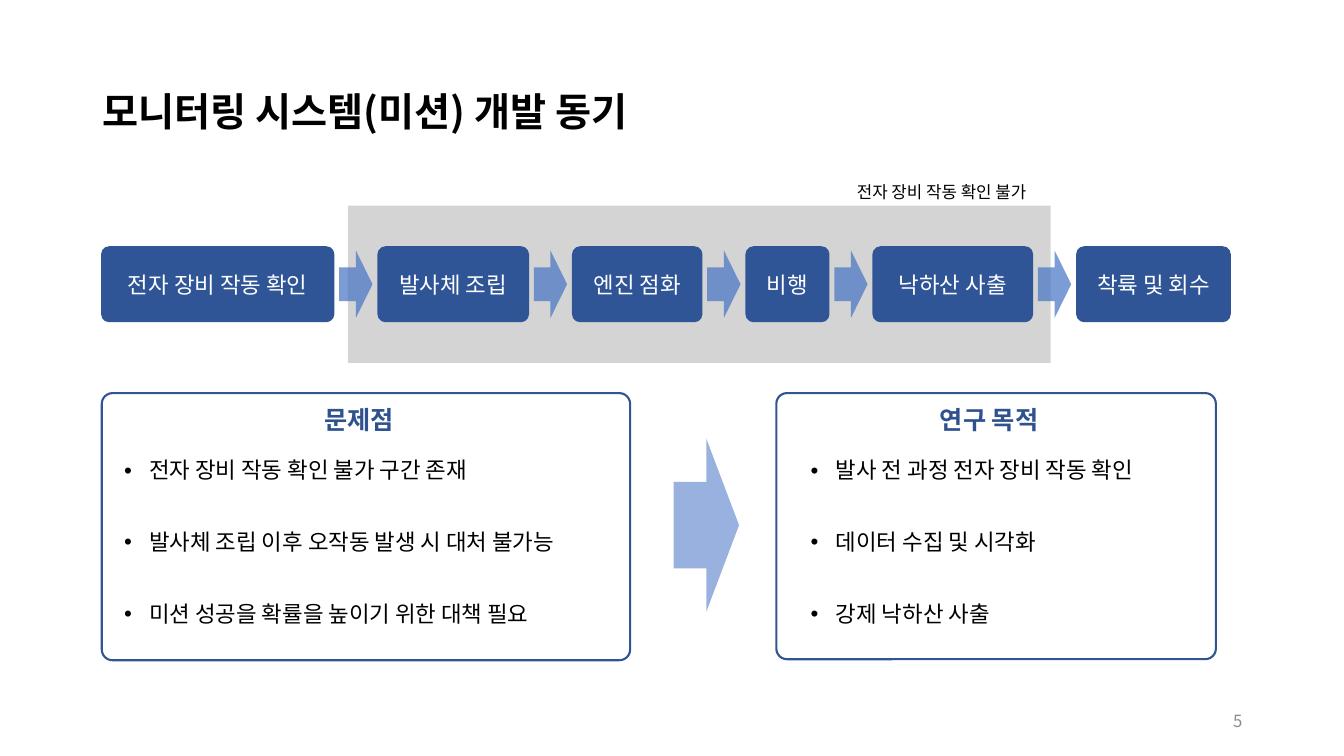
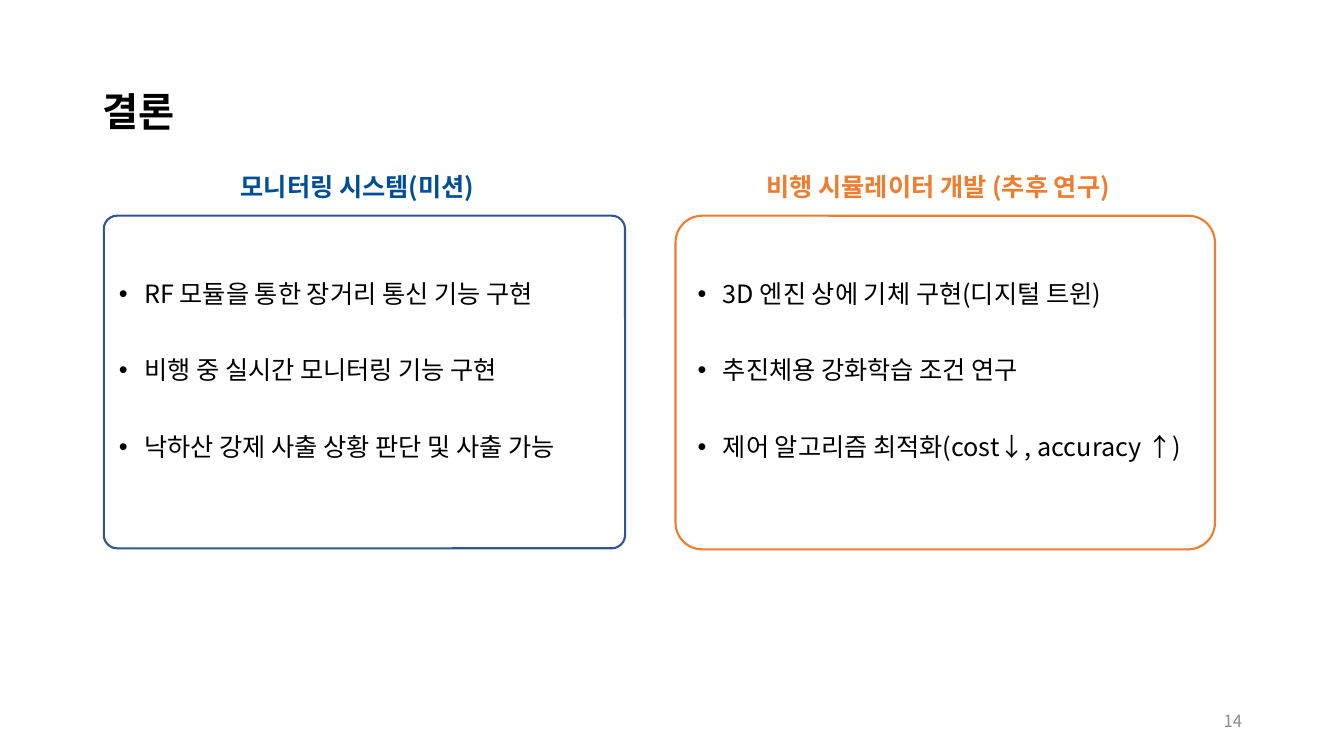
from dataclasses import dataclass

from lxml.etree import SubElement
from pptx import Presentation
from pptx.dml.color import RGBColor
from pptx.enum.shapes import MSO_SHAPE
from pptx.enum.text import MSO_ANCHOR, MSO_AUTO_SIZE, PP_ALIGN
from pptx.oxml.ns import qn
from pptx.util import Inches, Pt


@dataclass(frozen=True)
class Theme:
    font: str = "Noto Sans CJK KR"
    black: str = "000000"
    white: str = "FFFFFF"
    gray: str = "8C8C8C"
    step: str = "2F5597"
    arrow: str = "4472C4"
    outline: str = "325491"
    heading: str = "2F528F"
    navy: str = "004E96"
    orange: str = "ED7D31"
    title_size: int = 28
    heading_size: int = 18
    body_size: int = 16
    small_size: int = 12


THEME = Theme()

# Content: all boxes are left, top, width, height in inches
STEPS = [
    ("전자 장비 작동 확인", 2.3),
    ("발사체 조립", 1.49),
    ("엔진 점화", 1.28),
    ("비행", 0.82),
    ("낙하산 사출", 1.58),
    ("착륙 및 회수", 1.52),
]
BLIND_ZONE_LABEL = "전자 장비 작동 확인 불가"

MOTIVATION = {
    "title": "모니터링 시스템(미션) 개발 동기",
    "number": "5",
    "heading_top": 3.96,
    "size": THEME.body_size,
    "gap": 34,
    "panels": [
        {
            "heading": "문제점", "color": THEME.heading, "line": THEME.outline,
            "box": (1.01, 3.9, 5.24, 2.65), "radius": 0.04,
            "list_box": (1.13, 4.51, 5, 1.99),
            "items": ["전자 장비 작동 확인 불가 구간 존재",
                      "발사체 조립 이후 오작동 발생 시 대처 불가능",
                      "미션 성공을 확률을 높이기 위한 대책 필요"],
        },
        {
            "heading": "연구 목적", "color": THEME.heading, "line": THEME.outline,
            "box": (7.7, 3.9, 4.36, 2.64), "radius": 0.04,
            "list_box": (7.94, 4.51, 4.09, 1.99),
            "items": ["발사 전 과정 전자 장비 작동 확인",
                      "데이터 수집 및 시각화",
                      "강제 낙하산 사출"],
        },
    ],
}
CONCLUSION = {
    "title": "결론",
    "number": "14",
    "heading_top": 1.65,
    "size": THEME.heading_size,
    "gap": 35.5,
    "panels": [
        {
            "heading": "모니터링 시스템(미션)", "color": THEME.navy, "line": THEME.outline,
            "box": (1.03, 2.14, 5.17, 3.3), "radius": 0.04,
            "list_box": (1.08, 2.74, 5.12, 2.6),
            "items": ["RF 모듈을 통한 장거리 통신 기능 구현",
                      "비행 중 실시간 모니터링 기능 구현",
                      "낙하산 강제 사출 상황 판단 및 사출 가능"],
        },
        {
            "heading": "비행 시뮬레이터 개발 (추후 연구)", "color": THEME.orange,
            "line": THEME.orange,
            "box": (6.7, 2.14, 5.35, 3.31), "radius": 0.08,
            "list_box": (6.82, 2.74, 5.11, 2.6),
            "items": ["3D 엔진 상에 기체 구현(디지털 트윈)",
                      "추진체용 강화학습 조건 연구",
                      "제어 알고리즘 최적화(cost↓, accuracy ↑)"],
        },
    ],
}


# Shared helpers
def inches(box):
    return [Inches(value) for value in box]


def place(shape, box):
    shape.left, shape.top, shape.width, shape.height = inches(box)


def style_text(text_frame, size, color, bold=False, align=PP_ALIGN.LEFT):
    for paragraph in text_frame.paragraphs:
        paragraph.alignment = align
        for run in paragraph.runs:
            run.font.size = Pt(size)
            run.font.bold = bold
            run.font.color.rgb = RGBColor.from_string(color)
            run.font.name = THEME.font
            east_asian = SubElement(run.font._element, qn("a:ea"))
            east_asian.set("typeface", THEME.font)


def add_text(slide, text, box, size, color, anchor=MSO_ANCHOR.TOP, **style):
    text_frame = slide.shapes.add_textbox(*inches(box)).text_frame
    text_frame.word_wrap = True
    text_frame.vertical_anchor = anchor
    text_frame.text = text
    style_text(text_frame, size, color, **style)


def add_block(slide, kind, box, fill=None, alpha=None, line=None, line_width=1, radius=None):
    shape = slide.shapes.add_shape(kind, *inches(box))
    shape.shadow.inherit = False
    if radius is not None:
        shape.adjustments[0] = radius
    if fill:
        shape.fill.solid()
        shape.fill.fore_color.rgb = RGBColor.from_string(fill)
        if alpha is not None:
            color = shape._element.spPr.find(".//" + qn("a:srgbClr"))
            SubElement(color, qn("a:alpha")).set("val", str(alpha * 1000))
    else:
        shape.fill.background()
    if line:
        shape.line.color.rgb = RGBColor.from_string(line)
        shape.line.width = Pt(line_width)
    else:
        shape.line.fill.background()
    return shape


def fill_list(placeholder, items, box, size, gap):
    place(placeholder, box)
    text_frame = placeholder.text_frame
    text_frame.auto_size = MSO_AUTO_SIZE.NONE
    text_frame.text = "\n".join(items)
    for index, paragraph in enumerate(text_frame.paragraphs):
        properties = paragraph._p.get_or_add_pPr()
        properties.set("marL", str(Inches(0.25)))
        properties.set("indent", str(Inches(-0.25)))
        SubElement(properties, qn("a:buFont")).set("typeface", "Arial")
        SubElement(properties, qn("a:buChar")).set("char", "•")
        paragraph.line_spacing = 0.9
        paragraph.space_before = Pt(gap if index else 0)
    style_text(text_frame, size, THEME.black)


def add_panel_slide(presentation, content):
    """Title, page number and two outlined panels, each with a heading and a list."""
    slide = presentation.slides.add_slide(presentation.slide_layouts[3])
    title = slide.shapes.title
    place(title, (0.92, 0.4, 11.5, 1.45))
    title.text_frame.text = content["title"]
    title.text_frame.vertical_anchor = MSO_ANCHOR.MIDDLE
    title.text_frame.auto_size = MSO_AUTO_SIZE.NONE
    title.text_frame.paragraphs[0].line_spacing = 0.9
    style_text(title.text_frame, THEME.title_size, THEME.black, bold=True)

    add_text(slide, content["number"], (9.42, 6.95, 3, 0.4), THEME.small_size, THEME.gray,
             anchor=MSO_ANCHOR.MIDDLE, align=PP_ALIGN.RIGHT)

    for index, panel in enumerate(content["panels"], start=1):
        left, _, width, _ = panel["box"]
        add_block(slide, MSO_SHAPE.ROUNDED_RECTANGLE, panel["box"], line=panel["line"],
                  line_width=1.5, radius=panel["radius"])
        add_text(slide, panel["heading"], (left, content["heading_top"], width - 0.14, 0.4),
                 THEME.heading_size, panel["color"], bold=True, align=PP_ALIGN.CENTER)
        fill_list(slide.placeholders[index], panel["items"], panel["list_box"],
                  content["size"], content["gap"])
    return slide


def add_process(slide):
    """Launch steps in a row, with an arrow centred in every gap."""
    step_top, step_height, gap = 2.45, 0.74, 0.44
    arrow_width, arrow_height = 0.33, 0.67
    arrow_top = step_top + (step_height - arrow_height) / 2

    add_block(slide, MSO_SHAPE.RECTANGLE, (3.45, 2.04, 6.97, 1.56), THEME.black, alpha=17)
    add_text(slide, BLIND_ZONE_LABEL, (8.4, 1.75, 2.15, 0.3), THEME.small_size, THEME.black)

    left = 1.01
    for index, (label, width) in enumerate(STEPS):
        if index:
            arrow_left = left - (gap + arrow_width) / 2
            add_block(slide, MSO_SHAPE.RIGHT_ARROW,
                      (arrow_left, arrow_top, arrow_width, arrow_height), THEME.arrow, alpha=70)
        step = add_block(slide, MSO_SHAPE.ROUNDED_RECTANGLE, (left, step_top, width, step_height),
                         THEME.step, line=THEME.step, radius=0.1)
        text_frame = step.text_frame
        text_frame.margin_left = text_frame.margin_right = Inches(0.05)
        text_frame.vertical_anchor = MSO_ANCHOR.MIDDLE
        text_frame.text = label
        style_text(text_frame, THEME.body_size, THEME.white, align=PP_ALIGN.CENTER)
        left += width + gap


def main():
    presentation = Presentation()
    presentation.slide_width = Inches(13.33)
    presentation.slide_height = Inches(7.5)

    # Motivation: process above, problems leading to goals below
    slide = add_panel_slide(presentation, MOTIVATION)
    add_process(slide)
    add_block(slide, MSO_SHAPE.RIGHT_ARROW, (6.68, 4.35, 0.65, 1.72), THEME.arrow, alpha=55)

    # Conclusion
    add_panel_slide(presentation, CONCLUSION)

    presentation.save("out.pptx")


if __name__ == "__main__":
    main()
